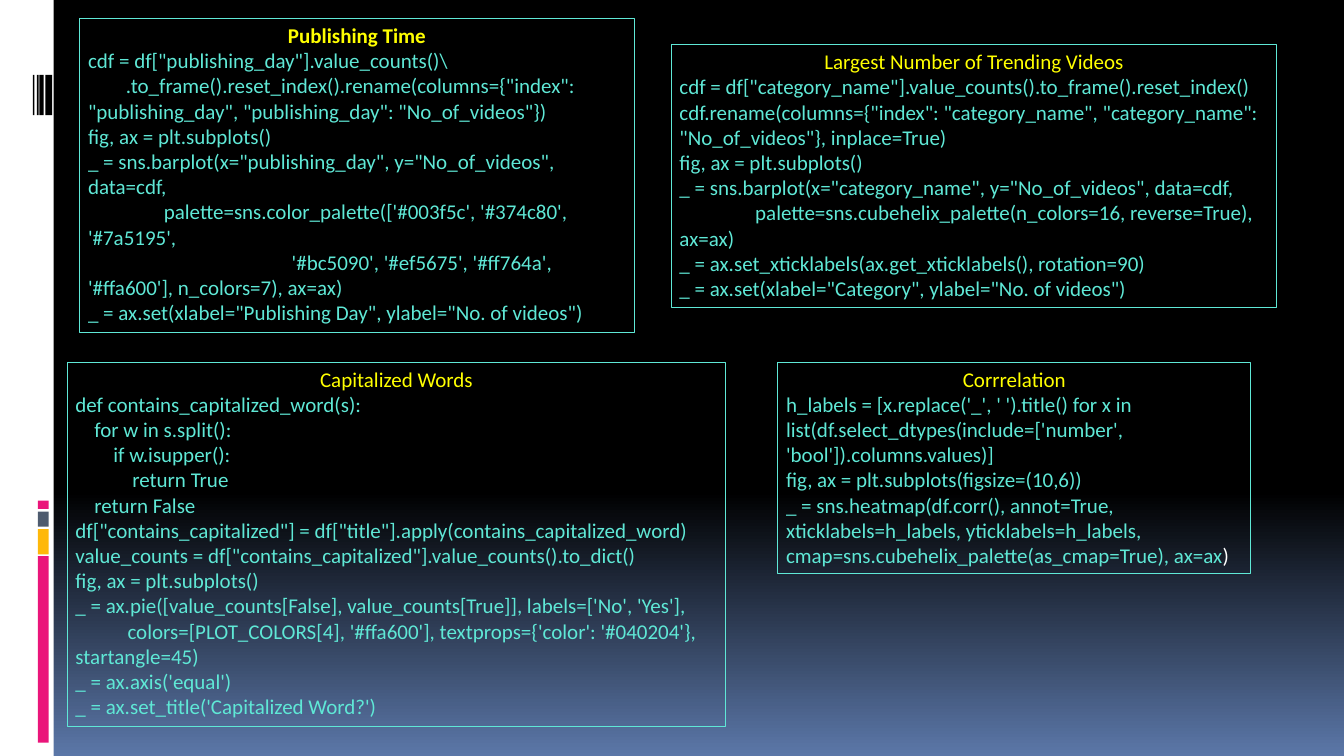
from dataclasses import dataclass

from pptx import Presentation
from pptx import util as u
from pptx.dml import color
from pptx.enum import shapes, text

COLORS = {
    "black": "000000",
    "white": "FFFFFF",
    "pink": "EA157A",
    "amber": "FEB80A",
    "slate": "4E5B6F",
    "dusk": "5B77A8",
    "aqua": "5FE8D6",
    "yellow": "FFFF00",
}


@dataclass
class Bar:
    left: float
    top: float
    width: float
    height: float
    fill: str


@dataclass
class Snippet:
    left: float
    top: float
    width: float
    height: float
    heading: str
    code: str
    bold: bool = False
    ending: str = ""


SIDE_BARS = [
    Bar(0, 0, 0.64, 9, "white"),
    Bar(0.45, 6.62, 0.13, 2.22, "pink"),
    Bar(0.45, 6.3, 0.13, 0.3, "amber"),
    Bar(0.45, 6.09, 0.13, 0.18, "slate"),
    Bar(0.45, 5.96, 0.13, 0.1, "pink"),
]
STRIPES = [
    Bar(left, 0.89, width, 0.48, "black")
    for left, width in [(0.54, 0.08), (0.47, 0.05), (0.44, 0.02), (0.39, 0.02)]
]

SNIPPETS = [
    Snippet(0.95, 0.22, 6.6, 3.74, "Publishing Time", r"""
cdf = df["publishing_day"].value_counts()\
        .to_frame().reset_index().rename(columns={"index": "publishing_day", "publishing_day": "No_of_videos"})
fig, ax = plt.subplots()
_ = sns.barplot(x="publishing_day", y="No_of_videos", data=cdf,
                palette=sns.color_palette(['#003f5c', '#374c80', '#7a5195',
                                           '#bc5090', '#ef5675', '#ff764a', '#ffa600'], n_colors=7), ax=ax)
_ = ax.set(xlabel="Publishing Day", ylabel="No. of videos")
""", bold=True),
    Snippet(7.99, 0.53, 7.21, 3.13, "Largest Number of Trending Videos", """
cdf = df["category_name"].value_counts().to_frame().reset_index()
cdf.rename(columns={"index": "category_name", "category_name": "No_of_videos"}, inplace=True)
fig, ax = plt.subplots()
_ = sns.barplot(x="category_name", y="No_of_videos", data=cdf,
                palette=sns.cubehelix_palette(n_colors=16, reverse=True), ax=ax)
_ = ax.set_xticklabels(ax.get_xticklabels(), rotation=90)
_ = ax.set(xlabel="Category", ylabel="No. of videos")
"""),
    Snippet(0.8, 4.31, 7.84, 4.34, "Capitalized Words", """
def contains_capitalized_word(s):
    for w in s.split():
        if w.isupper():
            return True
    return False
df["contains_capitalized"] = df["title"].apply(contains_capitalized_word)
value_counts = df["contains_capitalized"].value_counts().to_dict()
fig, ax = plt.subplots()
_ = ax.pie([value_counts[False], value_counts[True]], labels=['No', 'Yes'],
           colors=[PLOT_COLORS[4], '#ffa600'], textprops={'color': '#040204'}, startangle=45)
_ = ax.axis('equal')
_ = ax.set_title('Capitalized Word?')
"""),
    Snippet(9.26, 4.31, 5.63, 2.52, "Corrrelation", """
h_labels = [x.replace('_', ' ').title() for x in
list(df.select_dtypes(include=['number', 'bool']).columns.values)]
fig, ax = plt.subplots(figsize=(10,6))
_ = sns.heatmap(df.corr(), annot=True, xticklabels=h_labels, yticklabels=h_labels, cmap=sns.cubehelix_palette(as_cmap=True), ax=ax
""", ending=")"),
]


def rgb(name: str) -> color.RGBColor:
    return color.RGBColor.from_string(COLORS[name])


def paint_background(slide) -> None:
    fill = slide.background.fill
    fill.gradient()
    fill.gradient_angle = 270
    for stop, position, name in zip(fill.gradient_stops, (0.65, 1), ("black", "dusk")):
        stop.position = position
        stop.color.rgb = rgb(name)


def draw_bar(slide, bar: Bar) -> None:
    strip = slide.shapes.add_shape(
        shapes.MSO_SHAPE.RECTANGLE,
        u.Inches(bar.left), u.Inches(bar.top), u.Inches(bar.width), u.Inches(bar.height),
    )
    strip.shadow.inherit = False
    strip.fill.solid()
    strip.fill.fore_color.rgb = rgb(bar.fill)
    strip.line.fill.background()


def write(paragraph, words: str, *, ink: str = "aqua", bold: bool = False, size: float = 18) -> None:
    run = paragraph.add_run()
    run.text = words
    run.font.name = "Calibri"
    run.font.size = u.Pt(size)
    run.font.bold = bold
    run.font.color.rgb = rgb(ink)


def draw_snippet(slide, snippet: Snippet) -> None:
    panel = slide.shapes.add_textbox(
        u.Inches(snippet.left), u.Inches(snippet.top),
        u.Inches(snippet.width), u.Inches(snippet.height),
    )
    panel.line.color.rgb = rgb("aqua")
    panel.line.width = u.Pt(0.75)
    frame = panel.text_frame
    frame.word_wrap = True
    frame.auto_size = text.MSO_AUTO_SIZE.SHAPE_TO_FIT_TEXT

    heading = frame.paragraphs[0]
    heading.alignment = text.PP_ALIGN.CENTER
    write(heading, snippet.heading, ink="yellow", bold=snippet.bold)
    for code_line in snippet.code.strip("\n").split("\n"):
        write(frame.add_paragraph(), code_line)
    if snippet.ending:
        write(frame.paragraphs[-1], snippet.ending, ink="white")


def main() -> None:
    deck = Presentation()
    deck.slide_width, deck.slide_height = u.Inches(16), u.Inches(9)
    slide = deck.slides.add_slide(deck.slide_layouts.get_by_name("Blank"))
    paint_background(slide)
    for bar in SIDE_BARS + STRIPES:
        draw_bar(slide, bar)
    for snippet in SNIPPETS:
        draw_snippet(slide, snippet)
    deck.save("out.pptx")


if __name__ == "__main__":
    main()
